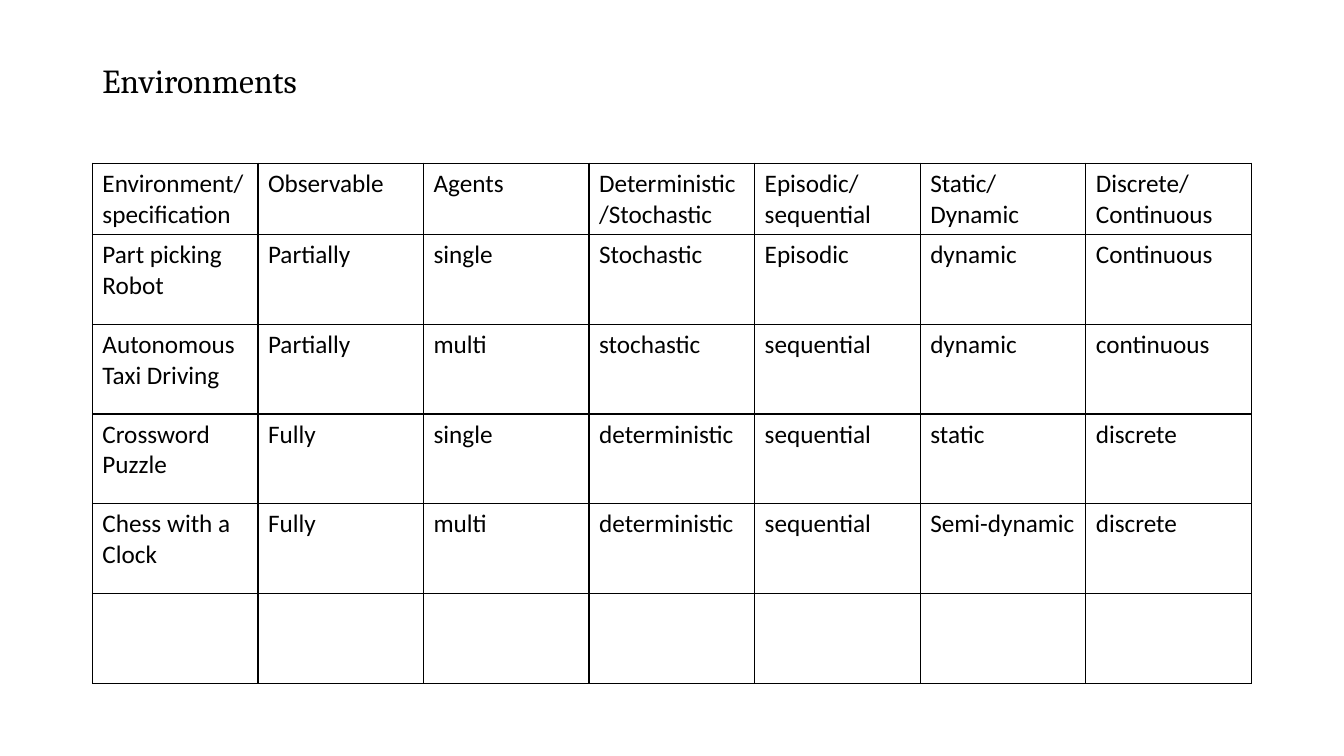
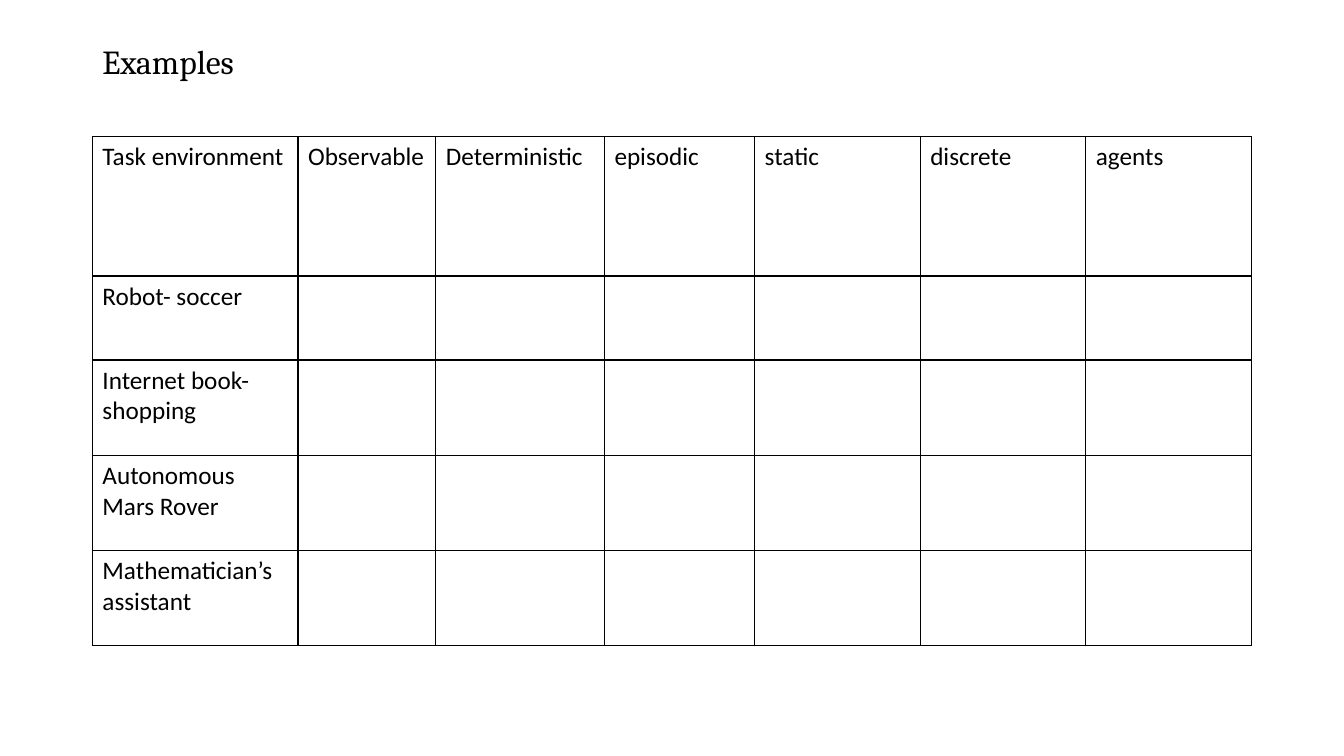
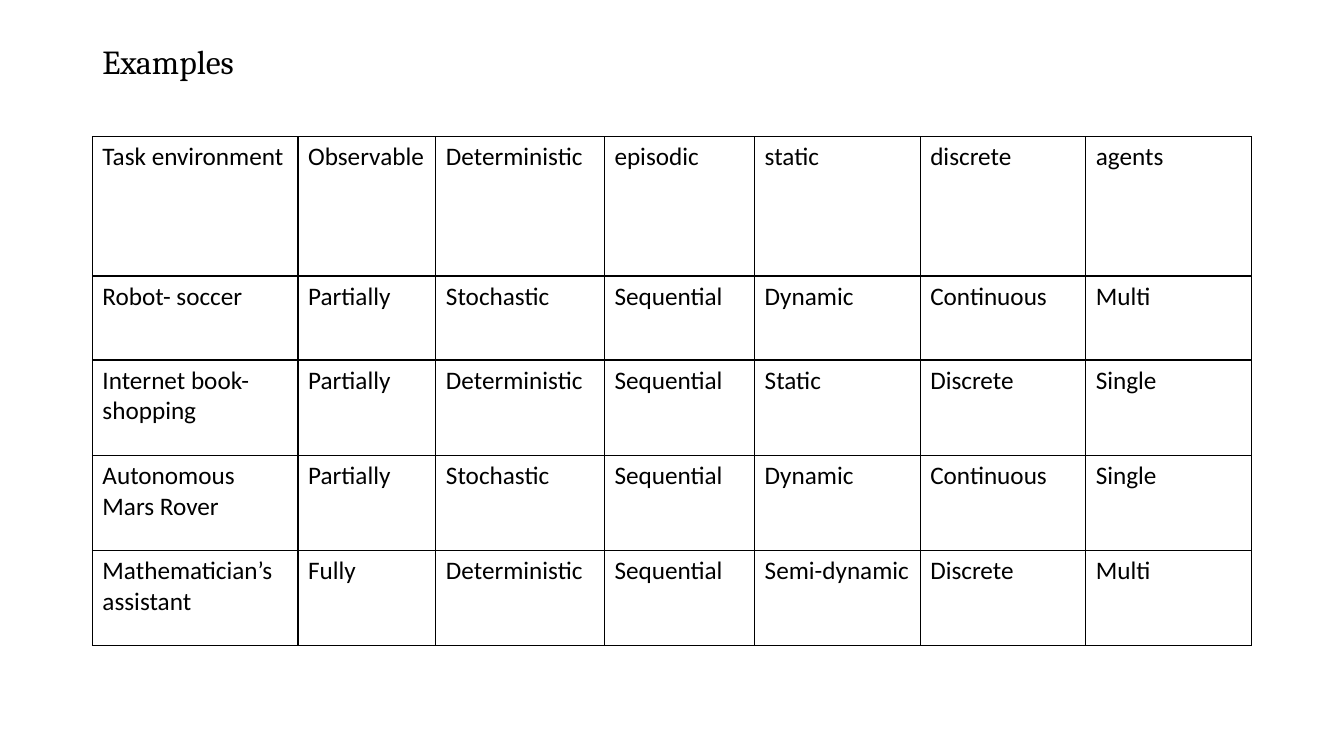
from lxml import etree
from pptx import Presentation
from pptx.dml import color
from pptx.enum import text
from pptx.oxml import ns
from pptx.util import Pt

INK = "000000"
TITLE_FONT, TITLE_SIZE = "Cambria", 24
CELL_FONT, CELL_SIZE = "Calibri", 18
LEFT, WIDTH = 66, 828
TITLE_TOP, TITLE_HEIGHT = 29, 60
EVEN = WIDTH / 7

# Slide content
ENVIRONMENTS = [
    ["Environment/specification", "Observable", "Agents", "Deterministic/Stochastic",
     "Episodic/\nsequential", "Static/\nDynamic", "Discrete/\nContinuous"],
    ["Part picking Robot", "Partially", "single", "Stochastic", "Episodic", "dynamic", "Continuous"],
    ["Autonomous Taxi Driving", "Partially", "multi", "stochastic", "sequential", "dynamic", "continuous"],
    ["Crossword Puzzle", "Fully", "single", "deterministic", "sequential", "static", "discrete"],
    ["Chess with a Clock", "Fully", "multi", "deterministic", "sequential", "Semi-dynamic", "discrete"],
    [""] * 7,
]
ANSWERS = [
    ["Task environment", "Observable", "Deterministic", "episodic", "static", "discrete", "agents"],
    ["Robot- soccer", "Partially", "Stochastic", "Sequential", "Dynamic", "Continuous", "Multi"],
    ["Internet book-shopping", "Partially", "Deterministic", "Sequential", "Static", "Discrete", "Single"],
    ["Autonomous Mars Rover", "Partially", "Stochastic", "Sequential", "Dynamic", "Continuous", "Single"],
    ["Mathematician’s assistant", "Fully", "Deterministic", "Sequential", "Semi-dynamic", "Discrete", "Multi"],
]
# The exercise shows the header and the task names only
EXERCISE = [ANSWERS[0]] + [row[:1] + [""] * 6 for row in ANSWERS[1:]]

EXAMPLE_COLUMNS = [146.9, 98.5, 120.4, 107.3] + [EVEN] * 3
EXAMPLE_ROWS = [99.5, 60] + [68] * 3


def rgb(value):
    return color.RGBColor.from_string(value)


def write(para, words, font, size):
    """Add the words run by run, with a line break between lines."""
    for index, line in enumerate(words.split("\n")):
        if index:
            para.add_line_break()
        span = para.add_run()
        span.text = line
        span.font.name = font
        span.font.size = Pt(size)
        span.font.color.rgb = rgb(INK)


def border(cell, width=1):
    """Draw a solid line on all four sides of a cell."""
    props = cell._tc.get_or_add_tcPr()
    for index, side in enumerate(("lnL", "lnR", "lnT", "lnB")):
        line = etree.Element(ns.qn("a:" + side), w=str(Pt(width)))
        fill = etree.SubElement(line, ns.qn("a:solidFill"))
        etree.SubElement(fill, ns.qn("a:srgbClr"), val=INK)
        props.insert(index, line)


def add_title(page, words, anchor):
    box = page.shapes.add_textbox(Pt(LEFT), Pt(TITLE_TOP), Pt(WIDTH), Pt(TITLE_HEIGHT))
    frame = box.text_frame
    frame.word_wrap = True
    frame.vertical_anchor = anchor
    para = frame.paragraphs[0]
    para.line_spacing = 0.9
    write(para, words, TITLE_FONT, TITLE_SIZE)


def add_grid(page, top, columns, heights, rows):
    table = page.shapes.add_table(len(rows), len(columns), Pt(LEFT), Pt(top),
                                  Pt(WIDTH), Pt(sum(heights))).table
    table.first_row = table.horz_banding = False
    for column, width in zip(table.columns, columns):
        column.width = Pt(width)
    for row, height, entries in zip(table.rows, heights, rows):
        row.height = Pt(height)
        for cell, words in zip(row.cells, entries):
            cell.fill.background()
            border(cell)
            if words:
                write(cell.text_frame.paragraphs[0], words, CELL_FONT, CELL_SIZE)


def add_page(deck, title, anchor, top, columns, heights, rows):
    page = deck.slides.add_slide(deck.slide_layouts[6])
    add_title(page, title, anchor)
    add_grid(page, top, columns, heights, rows)


def main():
    deck = Presentation()
    deck.slide_width, deck.slide_height = Pt(960), Pt(540)
    add_page(deck, "Environments", text.MSO_ANCHOR.MIDDLE, 116.6,
             [EVEN] * 7, [51] + [64.1] * 5, ENVIRONMENTS)
    for rows in (EXERCISE, ANSWERS):
        add_page(deck, "Examples", text.MSO_ANCHOR.TOP, 97.7,
                 EXAMPLE_COLUMNS, EXAMPLE_ROWS, rows)
    deck.save("out.pptx")


if __name__ == "__main__":
    main()
